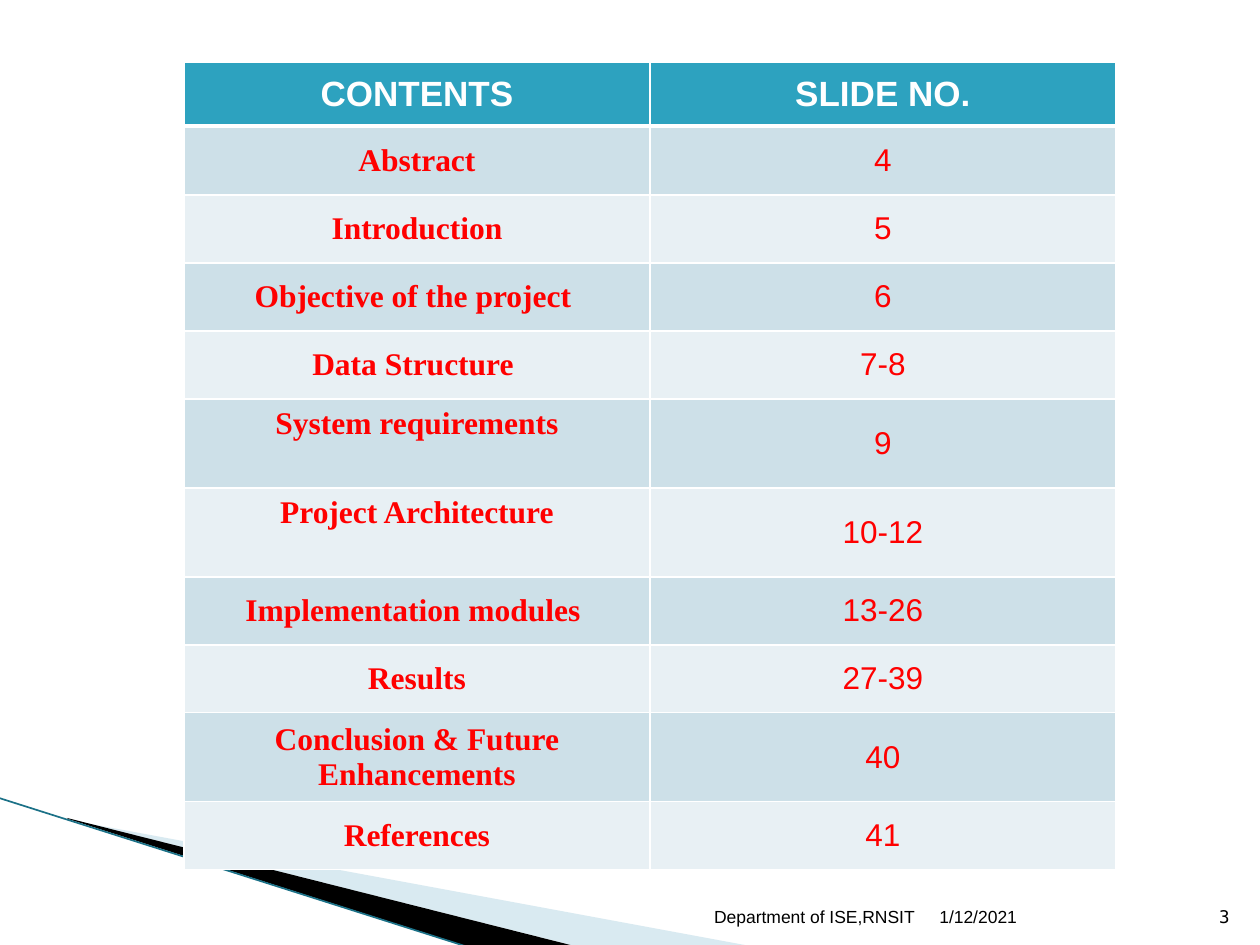
from lxml import etree
from pptx import Presentation
from pptx import util as u
from pptx.dml.color import RGBColor
from pptx.enum import shapes, text
from pptx.oxml.ns import qn

COLORS = {
    "header": "2DA2BF", "odd": "CDE0E8", "even": "E8F0F4", "white": "FFFFFF",
    "red": "FF0000", "black": "000000", "wedge": "A0CBDC", "edge": "1B7187",
}
HEADINGS = ("CONTENTS", "SLIDE NO.")
TOPICS = [
    ("Abstract", "4"),
    ("Introduction", "5"),
    ("Objective of the project ", "6"),
    ("Data Structure ", "7-8"),
    ("System requirements", "9"),
    ("Project Architecture", "10-12"),
    ("Implementation modules ", "13-26"),
    ("Results", "27-39"),
    ("Conclusion & Future Enhancements", "40"),
    ("References", "41"),
]
TOP_ALIGNED = {"System requirements", "Project Architecture"}
TALL = TOP_ALIGNED | {"Conclusion & Future Enhancements"}
FOOTERS = [  # text, left, width, alignment, font
    ("1/12/2021", 927, 265, "LEFT", "Arial"),
    ("Department of ISE,RNSIT", 603, 324, "RIGHT", "Arial"),
    ("3", 1192, 50, "RIGHT", "DejaVu Sans Mono"),
]
WEDGES = [  # fill, opacity in percent, frame, corners
    ("wedge", 40, (98, 689, 524, 199), [(69, 820), (750, 946), (575, 946), (69, 819)]),
    ("black", 100, (-8, 798, 524, 116), [(67, 818), (574, 946), (469, 947), (68, 819)]),
]
EDGE = (-1, 798, 468, 947)
TABLE_LEFT, COLUMN_WIDTH = 184, 466
HEADER_TOP, HEADER_HEIGHT, BODY_TOP = 62, 64, 127
ROW_HEIGHT, TALL_HEIGHT, TOP_MARGIN = 68, 89, 8
FOOTER_TOP, FOOTER_HEIGHT = 883, 50
PX = u.Inches(1) / 126


def px(*lengths):
    return [u.Emu(round(length * PX)) for length in lengths]


def rgb(name):
    return RGBColor.from_string(COLORS[name])


def write(frame, words, align, color, **font):
    paragraph = frame.paragraphs[0]
    paragraph.alignment = getattr(text.PP_ALIGN, align)
    run = paragraph.add_run()
    run.text = words
    run.font.color.rgb = rgb(color)
    for key, value in font.items():
        setattr(run.font, key, value)


def border(cell, bottom):
    """Give a cell 1 pt white borders, with its own bottom width in points."""
    properties = cell._tc.get_or_add_tcPr()
    widths = {"lnL": 1, "lnR": 1, "lnT": 1, "lnB": bottom}
    for index, (side, width) in enumerate(widths.items()):
        line = etree.Element(qn(f"a:{side}"), w=str(u.Pt(width)))
        fill = etree.SubElement(line, qn("a:solidFill"))
        etree.SubElement(fill, qn("a:srgbClr"), val=COLORS["white"])
        properties.insert(index, line)


def add_grid(slide, top, heights):
    grid = slide.shapes.add_table(
        len(heights), 2, *px(TABLE_LEFT, top, 2 * COLUMN_WIDTH, sum(heights))).table
    grid.first_row = grid.horz_banding = False
    for column in grid.columns:
        column.width = px(COLUMN_WIDTH)[0]
    for row, height in zip(grid.rows, heights):
        row.height = px(height)[0]
    return grid


def fill_cell(cell, words, fill, color, bottom=1, **font):
    cell.fill.solid()
    cell.fill.fore_color.rgb = rgb(fill)
    cell.vertical_anchor = text.MSO_ANCHOR.MIDDLE
    if words in TOP_ALIGNED:
        cell.vertical_anchor = text.MSO_ANCHOR.TOP
        cell.margin_top = px(TOP_MARGIN)[0]
    write(cell.text_frame, words, "CENTER", color, **font)
    border(cell, bottom)


def reframe(shape, frame):
    """Set a freeform's frame while its outline stays in place on the slide."""
    frame = px(*frame)
    shift = {"x": shape.left - frame[0], "y": shape.top - frame[1]}
    outline = shape._element.spPr.find(f".//{qn('a:path')}")
    for point in outline.iter(qn("a:pt")):
        for axis, offset in shift.items():
            point.set(axis, str(round(int(point.get(axis)) * PX) + offset))
    outline.set("w", str(frame[2]))
    outline.set("h", str(frame[3]))
    shape.left, shape.top, shape.width, shape.height = frame


def add_decoration(slide):
    for fill, opacity, frame, corners in WEDGES:
        builder = slide.shapes.build_freeform(*corners[0], scale=PX)
        builder.add_line_segments(corners[1:])
        wedge = builder.convert_to_shape()
        reframe(wedge, frame)
        wedge.shadow.inherit = False
        wedge.line.fill.background()
        wedge.fill.solid()
        wedge.fill.fore_color.rgb = rgb(fill)
        if opacity < 100:
            shade = wedge._element.spPr.find(f".//{qn('a:srgbClr')}")
            etree.SubElement(shade, qn("a:alpha"), val=str(opacity * 1000))
    edge = slide.shapes.add_connector(shapes.MSO_CONNECTOR.STRAIGHT, *px(*EDGE))
    edge.line.color.rgb = rgb("edge")
    edge.line.width = u.Pt(0.95)
    etree.SubElement(edge._element.spPr, qn("a:effectLst"))


def add_footers(slide):
    for words, left, width, align, font in FOOTERS:
        frame = slide.shapes.add_textbox(
            *px(left, FOOTER_TOP, width, FOOTER_HEIGHT)).text_frame
        frame.word_wrap = True
        frame.vertical_anchor = text.MSO_ANCHOR.BOTTOM
        write(frame, words, align, "black", name=font, size=u.Pt(10))


def add_contents(slide):
    heights = [TALL_HEIGHT if topic in TALL else ROW_HEIGHT for topic, _ in TOPICS]
    body = add_grid(slide, BODY_TOP, heights)
    for index, (topic, pages) in enumerate(TOPICS):
        style = {"fill": "even" if index % 2 else "odd", "color": "red", "size": u.Pt(18)}
        fill_cell(body.cell(index, 0), topic, name="Times New Roman", bold=True, **style)
        fill_cell(body.cell(index, 1), pages, name="Arial", bold=False, **style)
    header = add_grid(slide, HEADER_TOP, [HEADER_HEIGHT])
    for column, heading in enumerate(HEADINGS):
        fill_cell(header.cell(0, column), heading, "header", "white", bottom=3,
                  name="Arial", size=u.Pt(20), bold=True)


def main():
    deck = Presentation()
    deck.slide_width, deck.slide_height = px(1260, 945)
    slide = deck.slides.add_slide(deck.slide_layouts[6])
    add_decoration(slide)
    add_footers(slide)
    add_contents(slide)
    deck.save("out.pptx")


if __name__ == "__main__":
    main()
